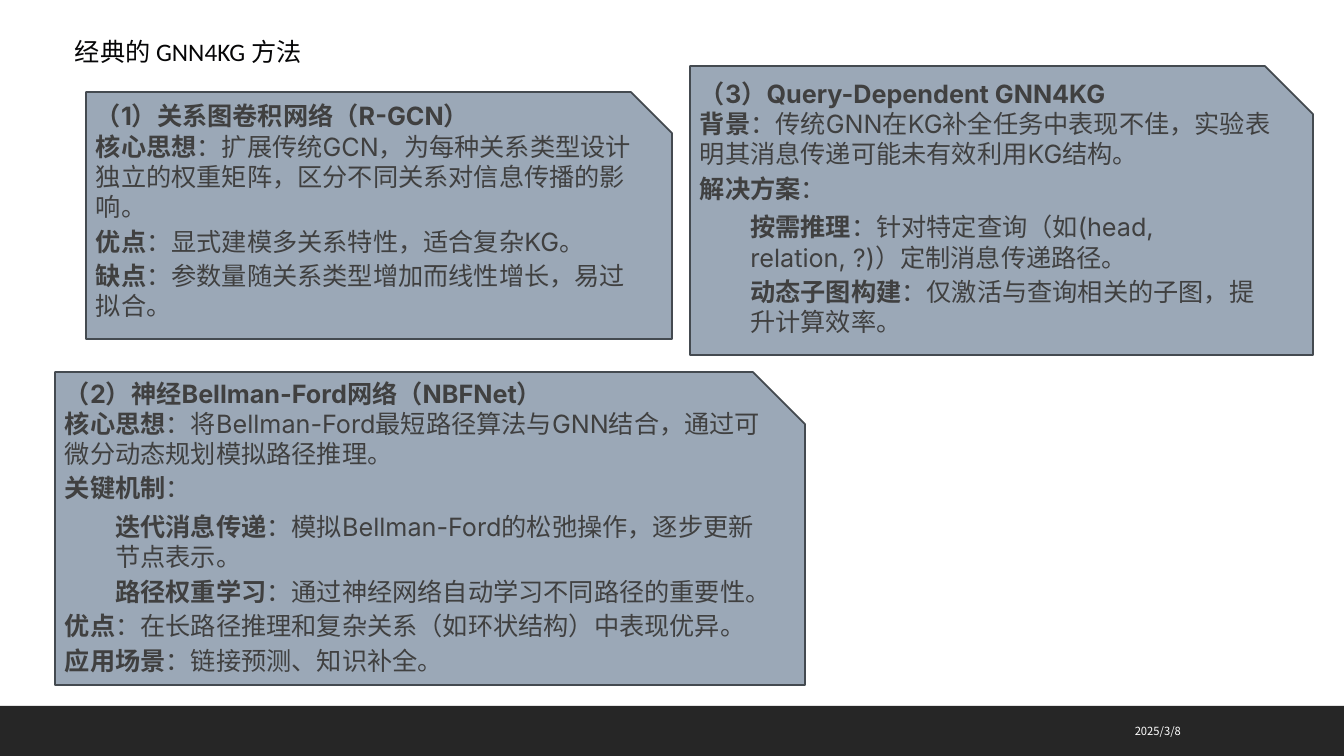
from lxml.etree import SubElement
from pptx import Presentation
from pptx.dml.color import RGBColor
from pptx.enum.shapes import MSO_SHAPE
from pptx.enum.text import MSO_ANCHOR, PP_ALIGN
from pptx.oxml.ns import qn
from pptx.util import Pt

WHITE = RGBColor(0xFF, 0xFF, 0xFF)
BLACK = RGBColor(0x06, 0x06, 0x07)
FOOTER = RGBColor(0x26, 0x26, 0x26)
CARD = RGBColor(0x9B, 0xA8, 0xB7)
EDGE = RGBColor(0x44, 0x4A, 0x50)
INK = RGBColor(0x40, 0x40, 0x40)
CJK = "Noto Sans CJK SC"

TITLE = "经典的 GNN4KG 方法"
DATE = "2025/3/8"

# Each card: box, heading, then (level, label, text, space before, space after)
CARDS = [
    ((86, 92, 586, 247), "（1）关系图卷积网络（R-GCN）", [
        (0, "核心思想", "：扩展传统GCN，为每种关系类型设计独立的权重矩阵，区分不同关系对信息传播的影响。", 0, 0),
        (0, "优点", "：显式建模多关系特性，适合复杂KG。", 3, 0),
        (0, "缺点", "：参数量随关系类型增加而线性增长，易过拟合。", 3, 0),
    ]),
    ((55, 372, 750, 313), "（2）神经Bellman-Ford网络（NBFNet）", [
        (0, "核心思想", "：将Bellman-Ford最短路径算法与GNN结合，通过可微分动态规划模拟路径推理。", 0, 0),
        (0, "关键机制", "：", 3, 3),
        (1, "迭代消息传递", "：模拟Bellman-Ford的松弛操作，逐步更新节点表示。", 3, 0),
        (1, "路径权重学习", "：通过神经网络自动学习不同路径的重要性。", 3, 0),
        (0, "优点", "：在长路径推理和复杂关系（如环状结构）中表现优异。", 3, 0),
        (0, "应用场景", "：链接预测、知识补全。", 3, 0),
    ]),
    ((690, 66, 623, 289), "（3）Query-Dependent GNN4KG", [
        (0, "背景", "：传统GNN在KG补全任务中表现不佳，实验表明其消息传递可能未有效利用KG结构。", 0, 0),
        (0, "解决方案", "：", 3, 3),
        (1, "按需推理", "：针对特定查询（如(head, relation, ?)）定制消息传递路径。", 3, 0),
        (1, "动态子图构建", "：仅激活与查询相关的子图，提升计算效率。", 3, 0),
    ]),
]


def px(n):
    return round(n * 914400 / 100.8)


def set_all(target, values):
    for name, value in values.items():
        setattr(target, name, value)


def add_run(p, text, font, size, color, bold=False):
    r = p.add_run()
    r.text = text
    set_all(r.font, {"name": font, "size": Pt(size), "bold": bold})
    r.font.color.rgb = color
    SubElement(r.font._element, qn("a:ea")).set("typeface", CJK)


def add_box(s, preset, box, fill, line=None):
    sp = s.shapes.add_shape(preset, *map(px, box))
    sp.shadow.inherit = False
    sp.fill.solid()
    sp.fill.fore_color.rgb = fill
    if line is None:
        sp.line.fill.background()
    else:
        sp.line.color.rgb = line
        sp.line.width = Pt(1.25)
    return sp


def add_label(s, box, text, font, size, color, anchor, align):
    tf = s.shapes.add_textbox(*map(px, box)).text_frame
    set_all(tf, {"word_wrap": True, "vertical_anchor": anchor})
    p = tf.paragraphs[0]
    p.alignment = align
    add_run(p, text, font, size, color)


def add_card(s, box, heading, items):
    tf = add_box(s, MSO_SHAPE.SNIP_1_RECTANGLE, box, CARD, EDGE).text_frame
    set_all(tf, {"word_wrap": True, "vertical_anchor": MSO_ANCHOR.MIDDLE,
                 "margin_top": px(5), "margin_bottom": px(35)})
    p = tf.paragraphs[0]
    p.alignment = PP_ALIGN.LEFT
    add_run(p, heading, "Inter", 18, INK, True)
    for level, label, text, before, after in items:
        p = tf.add_paragraph()
        set_all(p, {"alignment": PP_ALIGN.LEFT, "level": level,
                    "space_before": Pt(before), "space_after": Pt(after)})
        pPr = p._p.get_or_add_pPr()
        pPr.set("marL", str(level * 457200))
        pPr.set("indent", "0")
        add_run(p, label, "Inter", 18, INK, True)
        add_run(p, text, "Inter", 18, INK)


def main():
    prs = Presentation()
    set_all(prs, {"slide_width": px(1344), "slide_height": px(756)})
    s = prs.slides.add_slide(prs.slide_layouts[6])
    add_box(s, MSO_SHAPE.RECTANGLE, (0, 706, 1344, 50), FOOTER)
    add_label(s, (906, 711, 285, 40), DATE, CJK, 8, WHITE,
              MSO_ANCHOR.MIDDLE, PP_ALIGN.RIGHT)
    add_label(s, (65, 31, 379, 40), TITLE, "Calibri", 18, BLACK,
              MSO_ANCHOR.TOP, PP_ALIGN.LEFT)
    for card in CARDS:
        add_card(s, *card)
    prs.save("out.pptx")


if __name__ == "__main__":
    main()
